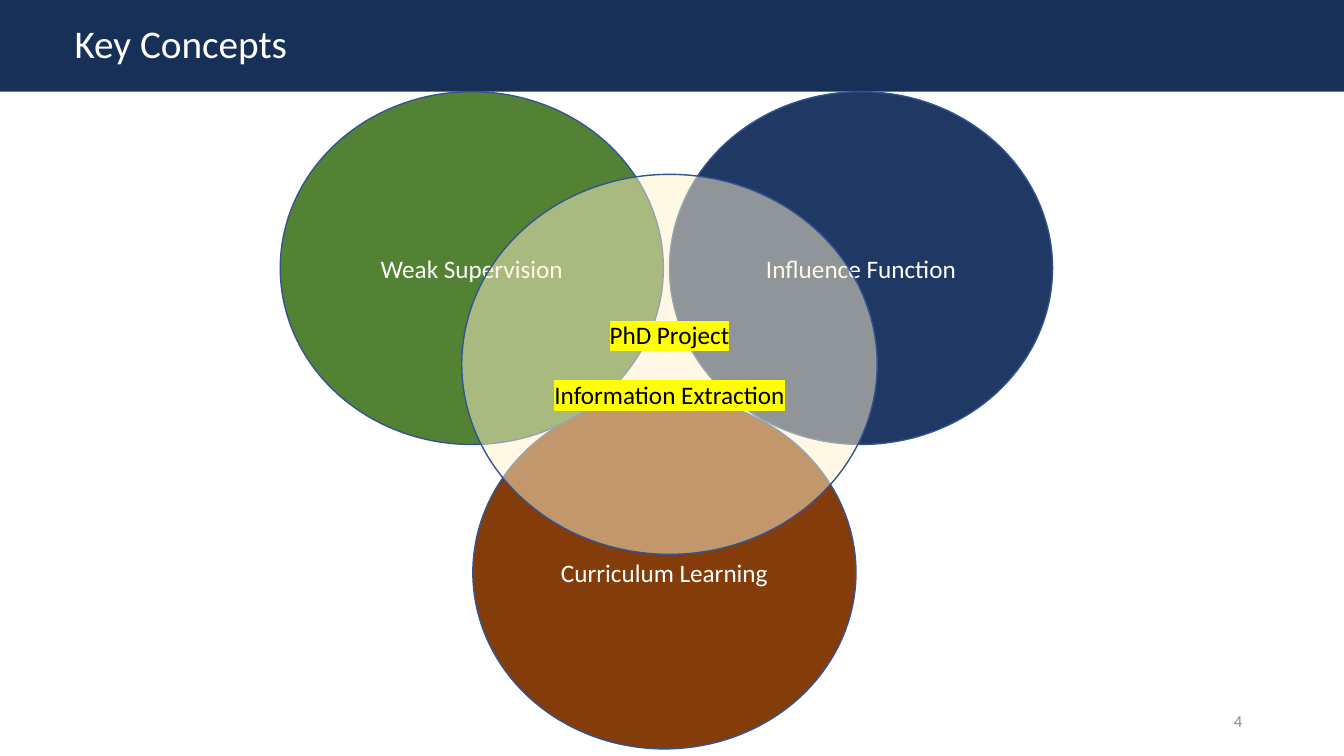
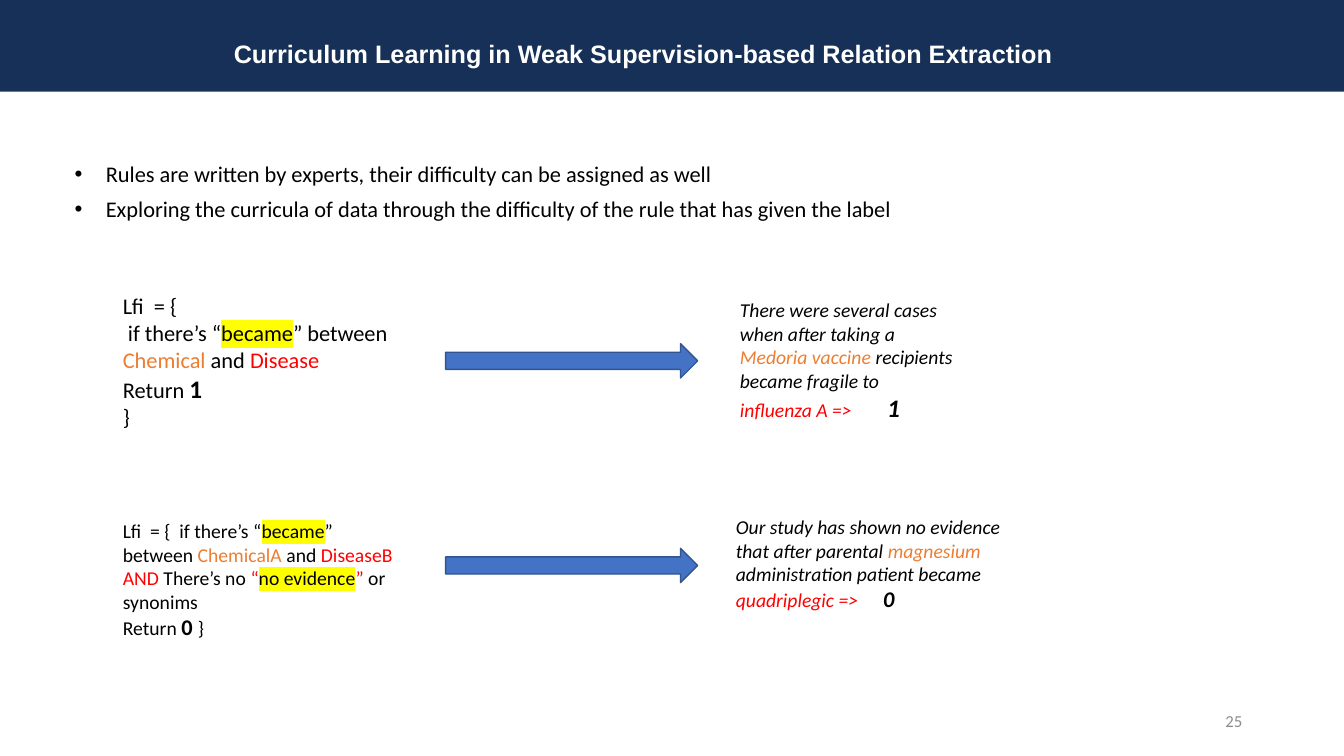
from lxml.etree import SubElement
from pptx import Presentation
from pptx.dml.color import RGBColor
from pptx.enum.shapes import MSO_SHAPE
from pptx.enum.text import MSO_ANCHOR, MSO_AUTO_SIZE, PP_ALIGN
from pptx.oxml.ns import qn
from pptx.util import Pt

PX = 9144  # 100 px to the inch
WIDE, HIGH, BAND = 1333, 750, 91
COLORS = {
    "band": "173057", "white": "FFFFFF", "black": "000000", "grey": "8C8C8C",
    "navy": "203864", "brown": "843C0B", "green": "548235", "cream": "FFF2CC",
    "blue": "4472C4", "edge": "325491", "mark": "FFFF00",
    "chem": "ED7D31", "ill": "FF0000",
}

# Slide 4: circles as (lines, fill, text colour, box)
CIRCLES = [
    (["Influence Function"], "navy", "white", (664, BAND, 380, 350)),
    (["Curriculum Learning"], "brown", "white", (469, 393, 380, 350)),
    (["Weak Supervision"], "green", "white", (278, BAND, 380, 350)),
]
CENTRE = (["PhD Project", "Information Extraction"], "cream", "black",
          (458, 173, 412, 377))

# Slide 25: runs are (text, style); styles are "", "chem", "ill", "mark", "big"
POINTS = [
    "Rules are written by experts, their difficulty can be assigned as well",
    "Exploring the curricula of data through the difficulty of the rule "
    "that has given the label",
]
RULES = [
    {"box": (100, 285, 299, 148), "size": 16, "big": 18, "paras": [
        [("Lfi  = {", "")],
        [(" if there’s “", ""), ("became", "mark"), ("” between ", ""),
         ("Chemical", "chem"), (" and ", ""), ("Disease", "ill")],
        [("Return ", ""), ("1", "big")],
        [("}", "")],
    ]},
    {"box": (100, 510, 312, 131), "size": 14, "big": 16, "paras": [
        [("Lfi  = {  if there’s “", ""), ("became", "mark"), ("” between ", ""),
         ("ChemicalA", "chem"), (" and ", ""), ("DiseaseB", "ill")],
        [("AND ", "ill"), ("There’s no ", ""), ("“", "ill"),
         ("no evidence", "mark"), ("” ", "ill"), ("or synonims", "")],
        [("Return ", ""), ("0 ", "big"), ("}", "")],
    ]},
]
CASES = [
    {"box": (724, 291, 231, 135), "size": 14, "big": 18, "paras": [
        [("There were several cases when after taking a ", ""),
         ("Medoria vaccine", "chem"), (" recipients became fragile to ", ""),
         ("influenza A =>\t", "ill"), ("1", "big")],
    ]},
    {"box": (720, 506, 286, 108), "size": 14, "big": 16, "paras": [
        [("Our study has shown no evidence that after parental ", ""),
         ("magnesium", "chem"), (" administration patient became ", ""),
         ("quadriplegic =>\t", "ill"), ("0", "big")],
    ]},
]
ARROWS = [(442, top, 250, 34) for top in (341, 544)]


def rgb(name):
    return RGBColor.from_string(COLORS[name])


def emu(box):
    return [n * PX for n in box]


def place(shape, box):
    shape.left, shape.top, shape.width, shape.height = emu(box)


def style(para, size, color, face="Calibri", bold=False, italic=False):
    font = para.font
    font.name, font.size = face, Pt(size)
    font.bold, font.italic = bold, italic
    font.color.rgb = rgb(color)


def mark(run):
    """Highlight a run in yellow."""
    glow = SubElement(run._r.get_or_add_rPr(), qn("a:highlight"))
    SubElement(glow, qn("a:srgbClr")).set("val", COLORS["mark"])


def add_shape(slide, kind, box, fill, edge=None):
    shape = slide.shapes.add_shape(kind, *emu(box))
    shape.shadow.inherit = False
    shape.fill.solid()
    shape.fill.fore_color.rgb = rgb(fill)
    if edge:
        shape.line.color.rgb = rgb(edge)
        shape.line.width = Pt(1)
    else:
        shape.line.fill.background()
    return shape


def add_band(deck, slide):
    """Put the title band on the master, behind everything."""
    band = add_shape(slide, MSO_SHAPE.RECTANGLE, (0, 0, WIDE, BAND), "band")
    deck.slide_master.shapes.element.insert(2, band.element)


def add_slide(deck, layout, title, number, left=64):
    """Add a slide with its title and number; return it and the title line."""
    slide = deck.slides.add_slide(deck.slide_layouts[layout])
    head = slide.shapes.title
    place(head, (left, 0, 1236 + 10, BAND))
    frame = head.text_frame
    frame.text = title
    frame.auto_size = MSO_AUTO_SIZE.NONE
    frame.vertical_anchor = MSO_ANCHOR.MIDDLE

    foot = slide.shapes.add_textbox(*emu((942, 695, 300, 40))).text_frame
    foot.word_wrap = True
    foot.vertical_anchor = MSO_ANCHOR.MIDDLE
    foot.text = str(number)
    foot.paragraphs[0].alignment = PP_ALIGN.RIGHT
    style(foot.paragraphs[0], 12, "grey")
    return slide, frame.paragraphs[0]


def add_circle(slide, lines, fill, color, box):
    shape = add_shape(slide, MSO_SHAPE.OVAL, box, fill, "edge")
    frame = shape.text_frame
    frame.word_wrap = True
    frame.vertical_anchor = MSO_ANCHOR.MIDDLE
    frame.text = "\n".join(lines)
    for i, para in enumerate(frame.paragraphs):
        para.alignment = PP_ALIGN.CENTER
        if i:
            para.space_before = Pt(21)
        style(para, 18, color)
    return shape


def add_points(slide, box):
    body = slide.placeholders[1]
    place(body, box)
    frame = body.text_frame
    frame.auto_size = MSO_AUTO_SIZE.NONE
    frame.text = "\n".join(POINTS)
    for i, para in enumerate(frame.paragraphs):
        props = para._p.get_or_add_pPr()
        props.set("marL", str(31 * PX))
        props.set("indent", str(-31 * PX))
        para.space_before = Pt(6 if i else 0)
        SubElement(props, qn("a:buFont")).set("typeface", "Arial")
        SubElement(props, qn("a:buChar")).set("char", "•")
        style(para, 16, "black")


def add_note(slide, note, indent=0, tab=0, italic=False):
    """Add a text box of styled runs, with an optional tab stop."""
    frame = slide.shapes.add_textbox(*emu(note["box"])).text_frame
    frame.word_wrap = True
    for i, runs in enumerate(note["paras"]):
        para = frame.add_paragraph() if i else frame.paragraphs[0]
        props = para._p.get_or_add_pPr()
        props.set("marL", str(indent * PX))
        if tab:
            stop = SubElement(SubElement(props, qn("a:tabLst")), qn("a:tab"))
            stop.set("pos", str(tab * PX))
            stop.set("algn", "l")
        style(para, note["size"], "black", italic=italic)
        for text, kind in runs:
            run = para.add_run()
            run.text = text
            if kind == "mark":
                mark(run)
            elif kind == "big":
                run.font.size, run.font.bold = Pt(note["big"]), True
            elif kind:
                run.font.color.rgb = rgb(kind)


def add_concepts(deck):
    slide, title = add_slide(deck, 5, "Key Concepts", 4)
    title.alignment, title.line_spacing = PP_ALIGN.LEFT, 0.9
    style(title, 28, "white")
    add_band(deck, slide)
    for circle in CIRCLES:
        add_circle(slide, *circle)
    centre = add_circle(slide, *CENTRE)
    tint = centre.element.spPr.find(".//" + qn("a:srgbClr"))
    SubElement(tint, qn("a:alpha")).set("val", "50000")
    for para in centre.text_frame.paragraphs:
        mark(para.runs[0])


def add_rules(deck):
    slide, title = add_slide(
        deck, 1,
        "Curriculum Learning in Weak Supervision-based Relation Extraction",
        25, left=15)
    title.alignment, title.line_spacing = PP_ALIGN.CENTER, 1.5
    style(title, 18, "white", "Arial", bold=True)
    add_points(slide, (64, 154, 1236, 92))
    for rule, arrow, case in zip(RULES, ARROWS, CASES):
        add_note(slide, rule, indent=12)
        add_shape(slide, MSO_SHAPE.RIGHT_ARROW, arrow, "blue", "edge")
        add_note(slide, case, tab=146, italic=True)


def main():
    deck = Presentation()
    deck.slide_width, deck.slide_height = WIDE * PX, HIGH * PX
    add_concepts(deck)
    add_rules(deck)
    deck.save("out.pptx")


if __name__ == "__main__":
    main()
